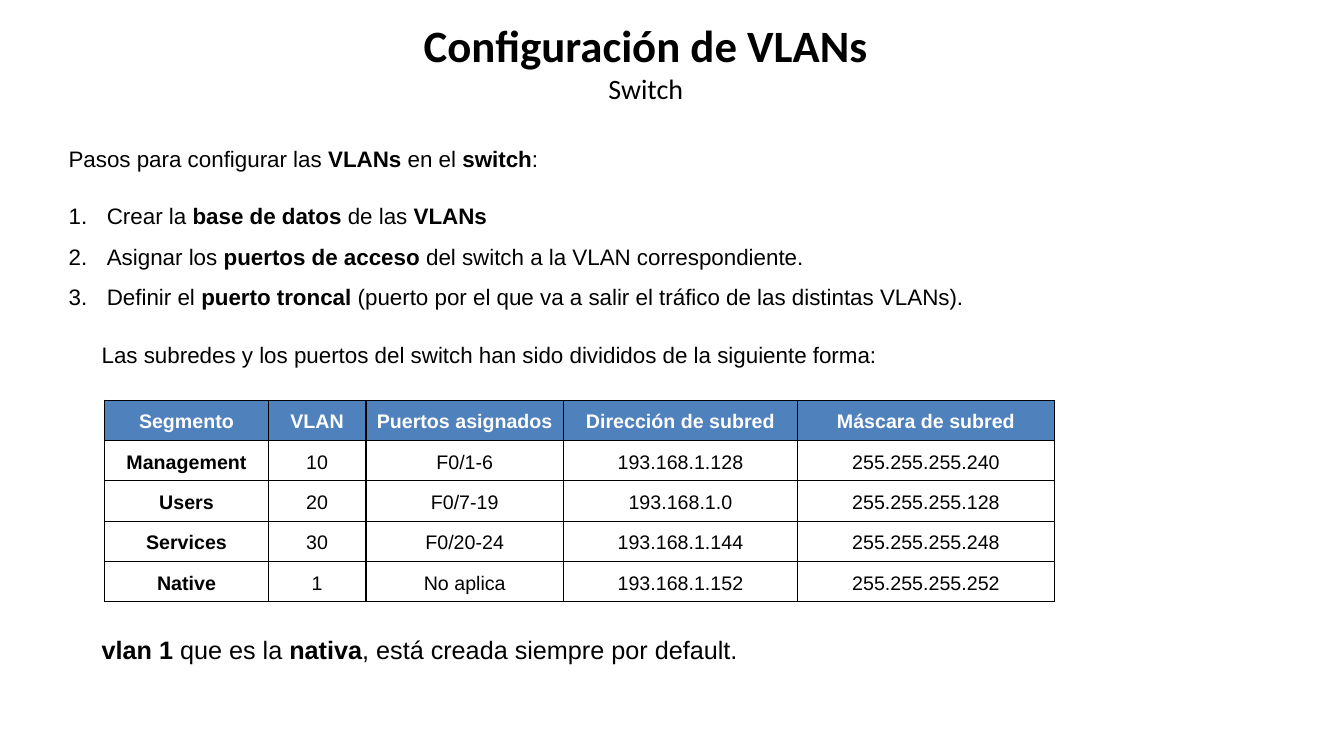
from pptx import Presentation
from pptx.dml.color import RGBColor
from pptx.enum.text import MSO_ANCHOR, MSO_AUTO_SIZE, PP_ALIGN
from pptx.oxml import parse_xml
from pptx.oxml.ns import nsdecls
from pptx.util import Inches, Pt

BLACK = RGBColor(0x00, 0x00, 0x00)
WHITE = RGBColor(0xFF, 0xFF, 0xFF)
HEADER_BLUE = RGBColor(0x4F, 0x81, 0xBD)

# Bold words stand between asterisks
INTRO = "Pasos para configurar las *VLANs* en el *switch*:"
STEPS = [
    "Crear la *base de datos* de las *VLANs*",
    "Asignar los *puertos de acceso* del switch a la VLAN correspondiente.",
    "Definir el *puerto troncal* (puerto por el que va a salir el tráfico de las distintas VLANs).",
]
SUBNETS = "Las subredes y los puertos del switch han sido divididos de la siguiente forma:"
NATIVE_NOTE = "*vlan 1* que es la *nativa*, está creada siempre por default."

COLUMN_WIDTHS = [1.62, 0.97, 1.96, 2.32, 2.55]
ROW_HEIGHT = 0.4
VLAN_ROWS = [
    ["Segmento", "VLAN", "Puertos asignados", "Dirección de subred", "Máscara de subred"],
    ["Management", "10", "F0/1-6", "193.168.1.128", "255.255.255.240"],
    ["Users", "20", "F0/7-19", "193.168.1.0", "255.255.255.128"],
    ["Services", "30", "F0/20-24", "193.168.1.144", "255.255.255.248"],
    ["Native", "1", "No aplica", "193.168.1.152", "255.255.255.252"],
]


def place(shape, left, top, width, height):
    shape.left, shape.top = Inches(left), Inches(top)
    shape.width, shape.height = Inches(width), Inches(height)


def set_font(font, size, name="Arial", color=BLACK, bold=None):
    font.name, font.size, font.bold = name, Pt(size), bold
    font.color.rgb = color


def write_marked(para, text, size):
    """Write text, setting the parts between asterisks in bold."""
    set_font(para.font, size)
    for index, part in enumerate(text.split("*")):
        if part:
            span = para.add_run()
            span.text = part
            set_font(span.font, size, bold=index % 2 == 1)


def set_numbering(para, numbered):
    properties = para._p.get_or_add_pPr()
    indent = Inches(0.38) if numbered else 0
    properties.set("marL", str(indent))
    properties.set("indent", str(-indent))
    if numbered:
        bullet = f'<a:buAutoNum {nsdecls("a")} type="arabicPeriod"/>'
    else:
        bullet = f'<a:buNone {nsdecls("a")}/>'
    properties.append(parse_xml(bullet))


def fill_title(title):
    place(title, 3.58, 0.18, 5.65, 0.88)
    frame = title.text_frame
    frame.auto_size = MSO_AUTO_SIZE.NONE
    frame.vertical_anchor = MSO_ANCHOR.TOP
    frame.margin_left = frame.margin_right = frame.margin_top = frame.margin_bottom = 0
    frame.text = "Configuración de VLANs\nSwitch"
    for para, size, bold in zip(frame.paragraphs, (32, 20), (True, False)):
        para.alignment = PP_ALIGN.CENTER
        set_font(para.font, size, "Calibri", bold=bold)


def fill_steps(body):
    place(body, 0.58, 1.26, 10.33, 1.83)
    frame = body.text_frame
    frame.auto_size = MSO_AUTO_SIZE.NONE
    for index, text in enumerate([INTRO] + STEPS):
        para = frame.add_paragraph() if index else frame.paragraphs[0]
        set_numbering(para, numbered=index > 0)
        para.line_spacing = 1.5
        para.space_before = Pt(0)
        para.space_after = Pt(0 if index else 12)
        write_marked(para, text, 16)


def add_note(page, text, top, width, height, size, line_spacing):
    box = page.shapes.add_textbox(Inches(0.91), Inches(top), Inches(width), Inches(height))
    box.text_frame.word_wrap = True
    para = box.text_frame.paragraphs[0]
    para.line_spacing = line_spacing
    write_marked(para, text, size)


def add_borders(cell):
    properties = cell._tc.get_or_add_tcPr()
    for side in ("lnL", "lnR", "lnT", "lnB"):
        properties.append(parse_xml(
            f'<a:{side} {nsdecls("a")} w="{Pt(1)}"><a:solidFill>'
            f'<a:srgbClr val="{BLACK}"/></a:solidFill></a:{side}>'))


def format_cell(cell, text, is_header, bold):
    add_borders(cell)
    if is_header:
        cell.fill.solid()
        cell.fill.fore_color.rgb = HEADER_BLUE
    else:
        cell.fill.background()
    cell.margin_left = cell.margin_right = cell.margin_top = cell.margin_bottom = 0
    cell.vertical_anchor = MSO_ANCHOR.MIDDLE
    cell.text = text
    para = cell.text_frame.paragraphs[0]
    para.alignment = PP_ALIGN.CENTER
    para.line_spacing = Pt(18)
    set_font(para.font, 14, color=WHITE if is_header else BLACK, bold=bold)


def add_vlan_table(page):
    frame = page.shapes.add_table(
        len(VLAN_ROWS), len(COLUMN_WIDTHS), Inches(1.04), Inches(3.97),
        Inches(sum(COLUMN_WIDTHS)), Inches(ROW_HEIGHT * len(VLAN_ROWS)))
    table = frame.table
    table.first_row = table.horz_banding = False
    for column, width in zip(table.columns, COLUMN_WIDTHS):
        column.width = Inches(width)
    for r, values in enumerate(VLAN_ROWS):
        table.rows[r].height = Inches(ROW_HEIGHT)
        for c, value in enumerate(values):
            format_cell(table.cell(r, c), value, r == 0, r == 0 or c == 0)


def main():
    deck = Presentation()
    deck.slide_width, deck.slide_height = Inches(13.33), Inches(7.5)
    page = deck.slides.add_slide(deck.slide_layouts[1])

    # Title and numbered steps
    fill_title(page.shapes.title)
    fill_steps(page.placeholders[1])

    # Subnet table with its lead-in and closing note
    add_note(page, SUBNETS, 3.2, 9.17, 0.45, 16, 1.5)
    add_vlan_table(page)
    add_note(page, NATIVE_NOTE, 6.24, 6.7, 0.4, 18, 1.0)

    deck.save("out.pptx")


if __name__ == "__main__":
    main()
